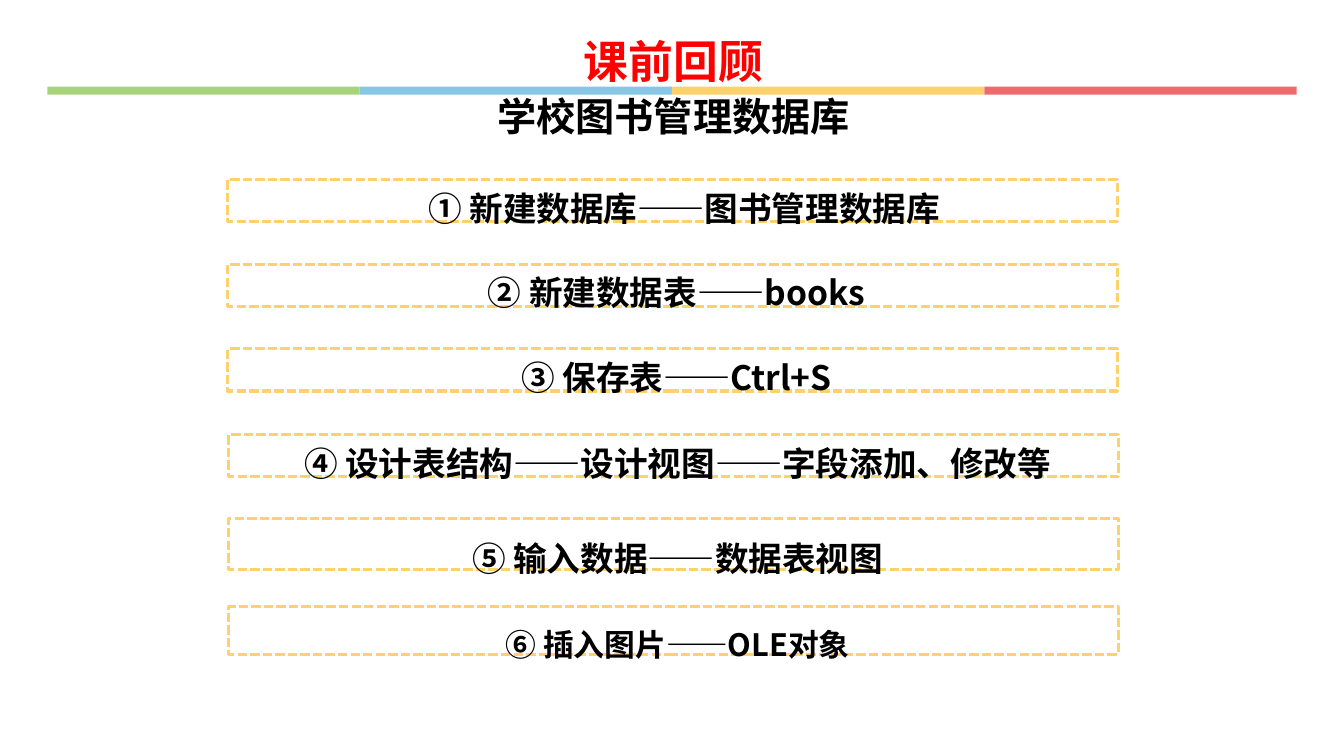
from lxml.etree import SubElement
from pptx import Presentation
from pptx.dml.color import RGBColor
from pptx.enum.dml import MSO_LINE
from pptx.enum.shapes import MSO_SHAPE as SHAPE
from pptx.enum.text import MSO_ANCHOR as ANCHOR, PP_ALIGN as ALIGN
from pptx.oxml.ns import qn
from pptx.util import Inches, Pt

FONT = "Noto Sans CJK SC"
BLACK = RGBColor(0x00, 0x00, 0x00)
RED = RGBColor(0xFF, 0x00, 0x00)
GREEN = RGBColor(0xA8, 0xD3, 0x7A)
BLUE = RGBColor(0x87, 0xC7, 0xE3)
YELLOW = RGBColor(0xFE, 0xD1, 0x6C)
CORAL = RGBColor(0xED, 0x6B, 0x6D)

# text, left, top, height, size, line spacing, left margin of the text
STEPS = [
    ("① 新建数据库——图书管理数据库", 2.26, 1.78, 0.42, 24, 1.2, 0.23),
    ("② 新建数据表——books", 2.26, 2.62, 0.42, 24, 1.2, 0.08),
    ("③ 保存表——Ctrl+S", 2.26, 3.46, 0.42, 24, 1.2, 0.08),
    ("④ 设计表结构——设计视图——字段添加、修改等", 2.27, 4.31, 0.42, 24, 1.2, 0.08),
    ("⑤ 输入数据——数据表视图", 2.27, 5.14, 0.51, 24, 1.5, 0.08),
    ("⑥ 插入图片——OLE对象", 2.27, 6.02, 0.47, 22, 1.5, 0.08),
]
STEP_WIDTH = 8.82


def set_frame(frame):
    values = {"margin_left": 0, "margin_right": 0, "margin_top": 0,
              "margin_bottom": 0, "word_wrap": True,
              "vertical_anchor": ANCHOR.TOP}
    for name, value in values.items():
        setattr(frame, name, value)


def write_line(paragraph, text, size, color, **spacing):
    """Fill a paragraph with one centred bold run in the slide font."""
    for name, value in {"alignment": ALIGN.CENTER, **spacing}.items():
        setattr(paragraph, name, value)
    run = paragraph.add_run()
    run.text = text
    for name, value in {"size": Pt(size), "bold": True, "name": FONT}.items():
        setattr(run.font, name, value)
    run.font.color.rgb = color
    SubElement(run.font._element, qn("a:ea"), typeface=FONT)


def add_color_bar(slide, left, top, width, height):
    colors = (GREEN, BLUE, YELLOW, CORAL)
    part = width / len(colors)
    for i, color in enumerate(colors):
        stripe = slide.shapes.add_shape(
            SHAPE.RECTANGLE, Inches(left + i * part), Inches(top),
            Inches(part), Inches(height))
        stripe.shadow.inherit = False
        stripe.fill.solid()
        stripe.fill.fore_color.rgb = color
        stripe.line.fill.background()


def add_heading(slide, left, top, width, height):
    heading = slide.shapes.add_textbox(
        Inches(left), Inches(top), Inches(width), Inches(height))
    frame = heading.text_frame
    set_frame(frame)
    write_line(frame.paragraphs[0], "课前回顾", 32, RED)
    write_line(frame.add_paragraph(), "学校图书管理数据库", 28, BLACK,
               space_before=Pt(4))


def add_step(slide, text, left, top, height, size, spacing, margin):
    step = slide.shapes.add_shape(
        SHAPE.RECTANGLE, Inches(left), Inches(top),
        Inches(STEP_WIDTH), Inches(height))
    step.shadow.inherit = False
    step.fill.background()
    step.line.color.rgb = YELLOW
    step.line.width = Pt(2.25)
    step.line.dash_style = MSO_LINE.SQUARE_DOT
    set_frame(step.text_frame)
    paragraph = step.text_frame.paragraphs[0]
    write_line(paragraph, text, size, BLACK, line_spacing=spacing)
    properties = paragraph._p.get_or_add_pPr()
    properties.set("marL", str(Inches(margin)))
    properties.set("indent", "0")


def main():
    deck = Presentation()
    deck.slide_width, deck.slide_height = Inches(13.33), Inches(7.5)
    slide = deck.slides.add_slide(deck.slide_layouts[6])
    add_color_bar(slide, 0.47, 0.86, 12.39, 0.08)
    add_heading(slide, 1.88, 0.33, 9.6, 1.1)
    for step in STEPS:
        add_step(slide, *step)
    deck.save("out.pptx")


if __name__ == "__main__":
    main()
